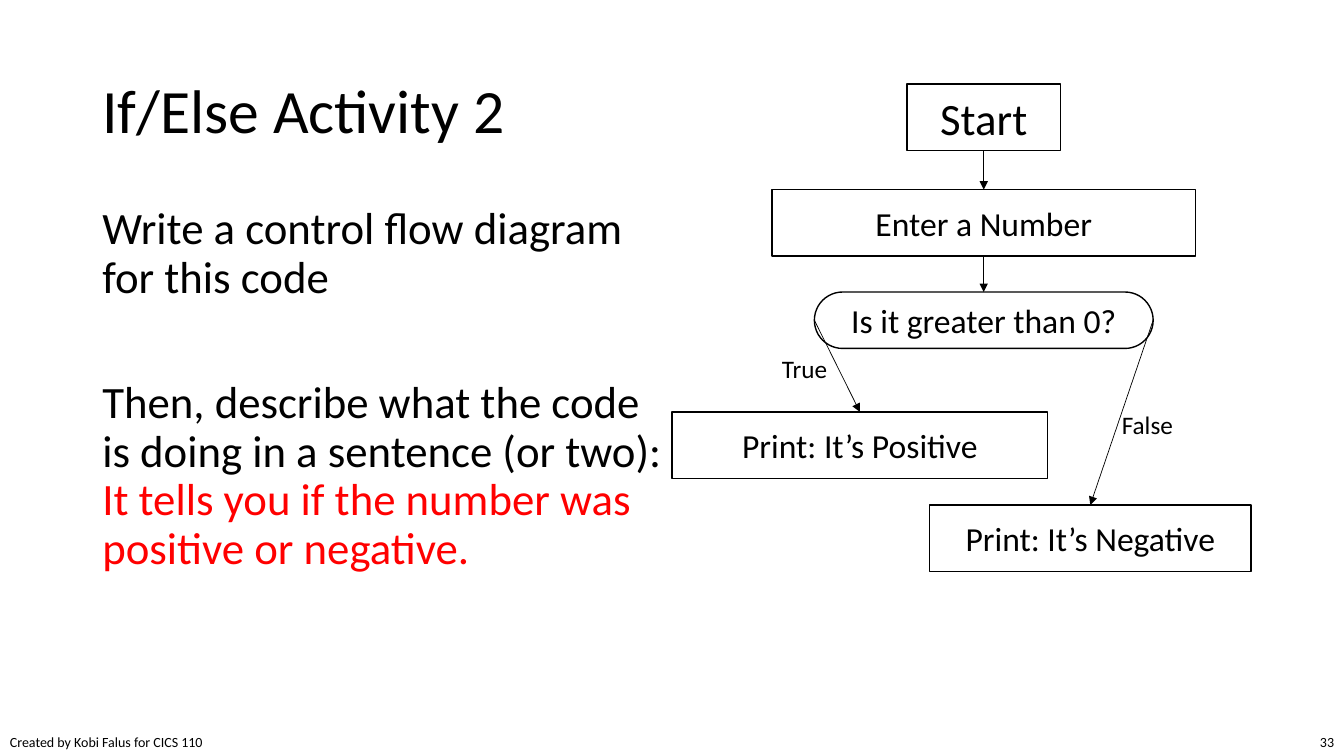
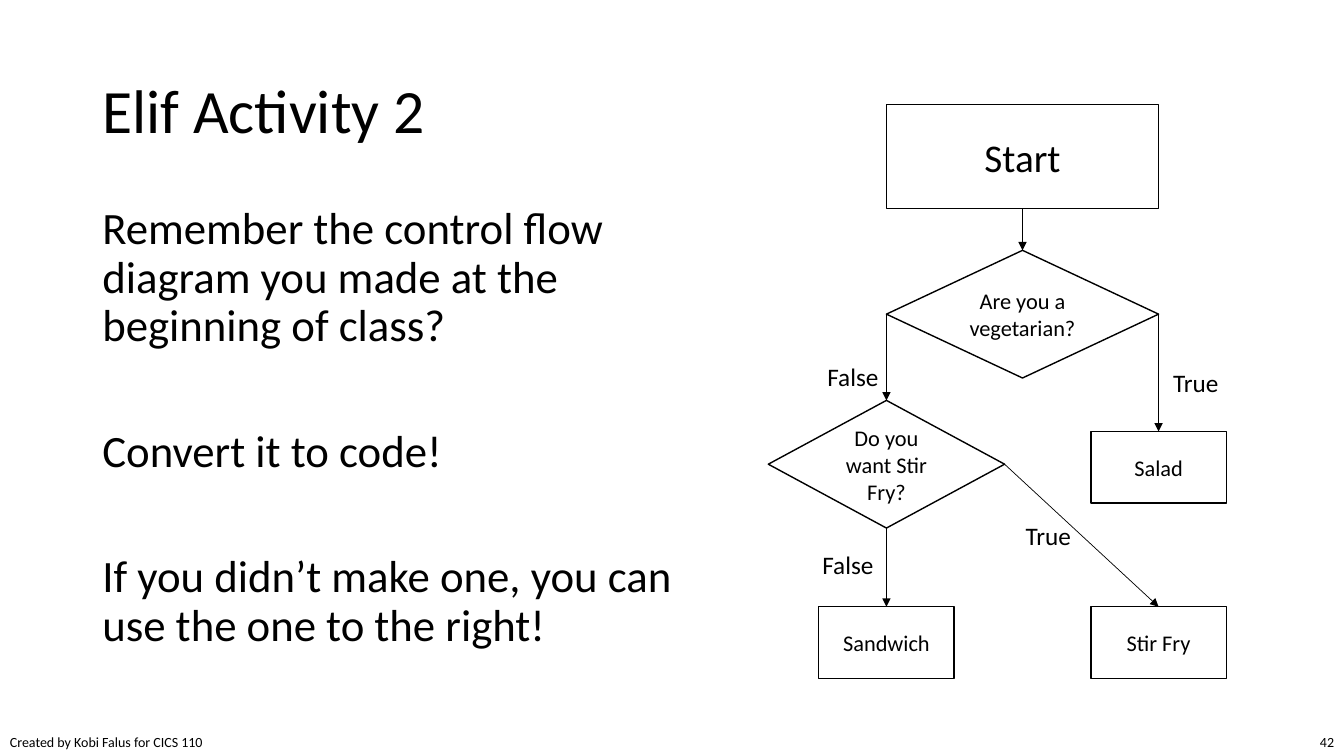
import pptx
import pptx.util
import pptx.dml.color
import pptx.enum.shapes
import pptx.enum.text
import pptx.oxml

Pt = pptx.util.Pt
RGB = pptx.dml.color.RGBColor.from_string
ALIGN = pptx.enum.text.PP_ALIGN
MIDDLE = pptx.enum.text.MSO_ANCHOR.MIDDLE
GROW = pptx.enum.text.MSO_AUTO_SIZE.SHAPE_TO_FIT_TEXT
SHAPE = pptx.enum.shapes.MSO_SHAPE
STRAIGHT = pptx.enum.shapes.MSO_CONNECTOR.STRAIGHT

COLORS = {"ink": "000000", "paper": "FFFFFF", "answer": "FF0000"}
DRAWING_NS = 'xmlns:a="http://schemas.openxmlformats.org/drawingml/2006/main"'
CREDIT = "Created by Kobi Falus for CICS 110"

# Text styles: frame and paragraph settings
TITLE = {"frame": {"word_wrap": True, "vertical_anchor": MIDDLE},
         "paragraph": {"line_spacing": 0.9}, "size": 44}
BODY = {"frame": {"word_wrap": True}, "paragraph": {"line_spacing": 0.9}, "size": 32}
FOOTER = {"frame": {"word_wrap": False, "auto_size": GROW}, "paragraph": {}, "size": 10}
PAGE = {"frame": {"word_wrap": True, "auto_size": GROW},
        "paragraph": {"alignment": ALIGN.RIGHT}, "size": 10}
BRANCH = {"frame": {"word_wrap": False, "auto_size": GROW}, "paragraph": {}, "size": 18}
STEP = {"frame": {"word_wrap": True, "vertical_anchor": MIDDLE},
        "paragraph": {"alignment": ALIGN.CENTER}}
BODY_GAP = 55

# Connection sites, counted anticlockwise from the top
TOP, LEFT, BOTTOM, RIGHT = range(4)
RECT, PILL, DIAMOND = SHAPE.RECTANGLE, SHAPE.ROUNDED_RECTANGLE, SHAPE.FLOWCHART_DECISION

# Centre lines of the two flow charts
AXIS_1 = 702.7
AXIS_2 = 730.4
HALF = 97.2
NO, YES = AXIS_2 - HALF, AXIS_2 + HALF

# Steps: name: (outline, centre x, top, width, height, text size, text)
# Arrows: (from, site, to); every arrow ends at the top of its step
# Branches: (left, top, width, text)
slides = [
    {
        "title": "If/Else Activity 2",
        "page": "33",
        "body_width": 421.2,
        "body": [
            [("Write a control flow diagram for this code", "ink")],
            [("Then, describe what the code is doing in a sentence (or two): ", "ink"),
             ("It tells you if the number was positive or negative.", "answer")],
        ],
        "steps": {
            "start": (RECT, AXIS_1, 60, 109.4, 47.5, 32, "Start"),
            "enter": (RECT, AXIS_1, 135.4, 302.4, 47.5, 24, "Enter a Number"),
            "question": (PILL, AXIS_1, 208.6, 242, 40.3, 24, "Is it greater than 0?"),
            "positive": (RECT, 614.2, 294.2, 268.4, 47.5, 24, "Print: It’s Positive"),
            "negative": (RECT, 778.8, 360.7, 229.8, 47.5, 24, "Print: It’s Negative"),
        },
        "arrows": [
            ("start", BOTTOM, "enter"),
            ("enter", BOTTOM, "question"),
            ("question", LEFT, "positive"),
            ("question", RIGHT, "negative"),
        ],
        "branches": [(551.5, 249.1, 47.5, "True"), (794.2, 288.7, 51.1, "False")],
    },
    {
        "title": "Elif Activity 2",
        "page": "42",
        "body_width": 434.9,
        "body": [
            [("Remember the control flow diagram you made at the beginning of class?", "ink")],
            [("Convert it to code!", "ink")],
            [("If you didn’t make one, you can use the one to the right!", "ink")],
        ],
        "steps": {
            "start": (RECT, AXIS_2, 74.7, 2 * HALF, 74.2, 28, "Start"),
            "vegetarian": (DIAMOND, AXIS_2, 178.8, 2 * HALF, 91.2, 16, "Are you a vegetarian?"),
            "want": (DIAMOND, NO, 286, 168.8, 91.2, 16, "Do you want Stir Fry?"),
            "salad": (RECT, YES, 308.2, 96.8, 51.2, 16, "Salad"),
            "sandwich": (RECT, NO, 433.4, 96.8, 51.2, 16, "Sandwich"),
            "stir fry": (RECT, YES, 433.4, 96.8, 51.2, 16, "Stir Fry"),
        },
        "arrows": [
            ("start", BOTTOM, "vegetarian"),
            ("vegetarian", LEFT, "want"),
            ("vegetarian", RIGHT, "salad"),
            ("want", RIGHT, "stir fry"),
            ("want", BOTTOM, "sandwich"),
        ],
        "branches": [
            (580.3, 388.8, 51.1, "False"),
            (583.9, 254.2, 51.1, "False"),
            (830.9, 258.5, 47.5, "True"),
            (725.5, 367.9, 47.5, "True"),
        ],
    },
]


def write(frame, paragraphs, style, size):
    """Fill a text frame with paragraphs, each a list of (text, colour name)."""
    for key, value in style["frame"].items():
        setattr(frame, key, value)
    for index, pieces in enumerate(paragraphs):
        paragraph = frame.add_paragraph() if index else frame.paragraphs[0]
        for key, value in style["paragraph"].items():
            setattr(paragraph, key, value)
        if index:
            paragraph.space_before = Pt(BODY_GAP)
        for text, color in pieces:
            run = paragraph.add_run()
            run.text = text
            for key, value in {"name": "Calibri", "size": Pt(size)}.items():
                setattr(run.font, key, value)
            run.font.color.rgb = RGB(COLORS[color])


def add_text(slide, box, paragraphs, style):
    textbox = slide.shapes.add_textbox(*map(Pt, box))
    write(textbox.text_frame, paragraphs, style, style["size"])


deck = pptx.Presentation()
deck.slide_width, deck.slide_height = Pt(960), Pt(540)

for content in slides:
    slide = deck.slides.add_slide(deck.slide_layouts[6])
    add_text(slide, (0, 520.6, 154.8, 19.4), [[(CREDIT, "ink")]], FOOTER)
    add_text(slide, (920.2, 520.6, 39.8, 19.4), [[(content["page"], "ink")]], PAGE)
    add_text(slide, (66, 28.8, 828, 104.4), [[(content["title"], "ink")]], TITLE)
    add_text(slide, (66, 143.8, content["body_width"], 342.6), content["body"], BODY)

    steps = {}
    for name, (outline, center, top, width, height, size, text) in content["steps"].items():
        step = slide.shapes.add_shape(
            outline, Pt(center - width / 2), Pt(top), Pt(width), Pt(height))
        if outline == PILL:
            step.adjustments[0] = 0.5
        step.shadow.inherit = False
        step.fill.solid()
        step.fill.fore_color.rgb = RGB(COLORS["paper"])
        step.line.color.rgb = RGB(COLORS["ink"])
        step.line.width = Pt(1)
        write(step.text_frame, [[(text, "ink")]], STEP, size)
        steps[name] = step

    for source, site, target in content["arrows"]:
        arrow = slide.shapes.add_connector(STRAIGHT, 0, 0, 0, 0)
        arrow.begin_connect(steps[source], site)
        arrow.end_connect(steps[target], TOP)
        arrow.line.color.rgb = RGB(COLORS["ink"])
        arrow.line.width = Pt(0.5)
        properties = arrow.element.spPr
        properties.get_or_add_ln().append(
            pptx.oxml.parse_xml(f'<a:tailEnd {DRAWING_NS} type="triangle"/>'))
        properties.append(pptx.oxml.parse_xml(f"<a:effectLst {DRAWING_NS}/>"))

    for left, top, width, text in content["branches"]:
        add_text(slide, (left, top, width, 29), [[(text, "ink")]], BRANCH)

deck.save("out.pptx")
